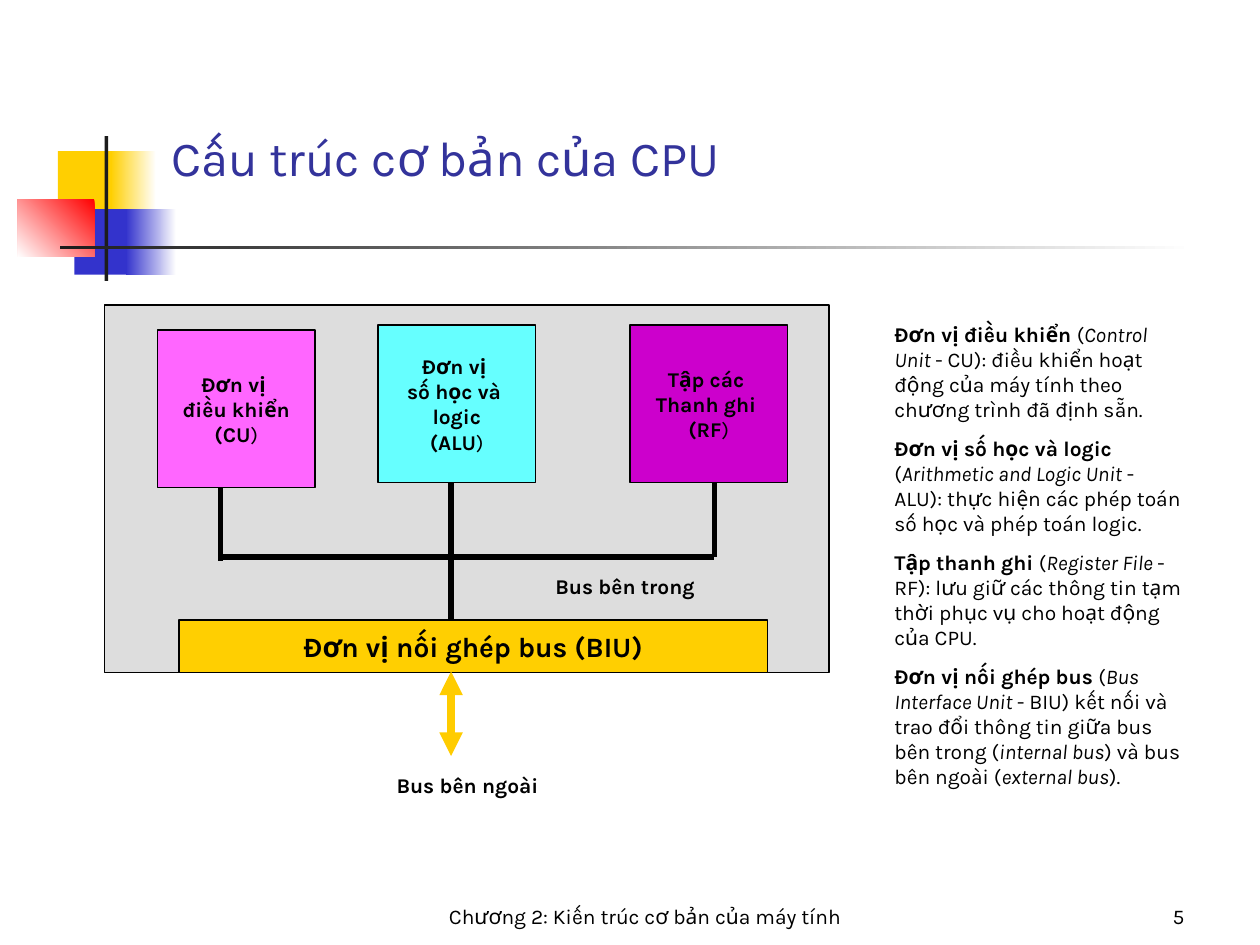
from lxml.etree import SubElement
from pptx import Presentation
from pptx.dml.color import RGBColor
from pptx.enum.shapes import MSO_CONNECTOR, MSO_SHAPE
from pptx.enum.text import MSO_ANCHOR, PP_ALIGN
from pptx.oxml.ns import qn
from pptx.util import Inches, Pt

BLACK = RGBColor(0x00, 0x00, 0x00)
WHITE = RGBColor(0xFF, 0xFF, 0xFF)
CHARCOAL = RGBColor(0x1C, 0x1C, 0x1C)
GRAY = RGBColor(0xDD, 0xDD, 0xDD)
YELLOW = RGBColor(0xFF, 0xCF, 0x01)
AMBER = RGBColor(0xFF, 0xCC, 0x00)
RED = RGBColor(0xFF, 0x00, 0x00)
BLUE = RGBColor(0x33, 0x33, 0xCC)
INDIGO = RGBColor(0x33, 0x33, 0x9B)
PINK = RGBColor(0xFF, 0x66, 0xFF)
CYAN = RGBColor(0x66, 0xFF, 0xFF)
PURPLE = RGBColor(0xCC, 0x00, 0xCC)


def set_all(target, values):
    for name, value in values.items():
        setattr(target, name, value)


class SlideBuilder:
    font_name = "Karla"

    def __init__(self, slide):
        self.slide = slide

    def add_runs(self, frame, paragraphs, size=12, color=BLACK, frame_format=None, **paragraph_format):
        """Fill a frame with paragraphs, each a list of (text, style); style holds b and/or i."""
        set_all(frame, {"word_wrap": True, **(frame_format or {})})
        for index, runs in enumerate(paragraphs):
            paragraph = frame.paragraphs[0] if index == 0 else frame.add_paragraph()
            set_all(paragraph, paragraph_format)
            for text, style in runs:
                run = paragraph.add_run()
                run.text = text
                set_all(run.font, {"name": self.font_name, "size": Pt(size),
                                   "bold": "b" in style, "italic": "i" in style})
                run.font.color.rgb = color

    def text(self, box, paragraphs, **formatting):
        area = self.slide.shapes.add_textbox(*map(Inches, box))
        self.add_runs(area.text_frame, paragraphs, **formatting)

    def rect(self, box, fill, outline=None):
        rect = self.slide.shapes.add_shape(MSO_SHAPE.RECTANGLE, *map(Inches, box))
        rect.shadow.inherit = False
        rect.fill.solid()
        rect.fill.fore_color.rgb = fill
        if outline is None:
            rect.line.fill.background()
        else:
            rect.line.color.rgb = outline
            rect.line.width = Pt(0.75)
        return rect

    def gradient(self, box, start, end, angle=180):
        """Angle runs counter-clockwise from left-to-right."""
        fill = self.rect(box, start).fill
        fill.gradient()
        fill.gradient_angle = angle
        for stop, color in zip(fill.gradient_stops, (start, end)):
            stop.color.rgb = color

    def block(self, box, fill, paragraphs, size=12):
        rect = self.rect(box, fill, BLACK)
        self.add_runs(rect.text_frame, paragraphs, size=size, alignment=PP_ALIGN.CENTER,
                      frame_format={"word_wrap": False, "vertical_anchor": MSO_ANCHOR.MIDDLE})

    def line(self, start, end, color=BLACK, width=3, arrows=False):
        line = self.slide.shapes.add_connector(MSO_CONNECTOR.STRAIGHT, *map(Inches, start + end))
        line.line.color.rgb = color
        line.line.width = Pt(width)
        properties = line._element.spPr
        if arrows:
            for tag in ("a:headEnd", "a:tailEnd"):
                SubElement(properties.get_or_add_ln(), qn(tag), type="triangle")
        SubElement(properties, qn("a:effectLst"))


def add_decoration(builder):
    builder.rect((0.46, 1.2, 0.48, 0.52), YELLOW)
    builder.gradient((0.88, 1.2, 0.36, 0.52), WHITE, YELLOW)
    builder.rect((0.59, 1.66, 0.46, 0.52), BLUE)
    builder.gradient((1, 1.66, 0.4, 0.52), WHITE, BLUE)
    builder.gradient((0.14, 1.58, 0.61, 0.46), RED, WHITE, angle=225)
    builder.rect((0.83, 1.08, 0.03, 1.15), CHARCOAL)
    builder.gradient((0.48, 1.95, 9, 0.03), WHITE, CHARCOAL)


def add_cpu_diagram(builder):
    builder.rect((0.83, 2.42, 5.75, 2.92), GRAY, BLACK)
    units = [
        (1.25, 2.62, PINK, ["Đơn vị ", "điều khiển"], "(CU"),
        (3, 2.58, CYAN, ["Đơn vị ", "số học và ", "logic"], "(ALU"),
        (5, 2.58, PURPLE, ["Tập các ", "Thanh ghi "], "(RF"),
    ]
    for left, top, fill, name_lines, abbreviation in units:
        paragraphs = [[(name, "b")] for name in name_lines]
        paragraphs.append([(abbreviation, "b"), (")", "")])
        builder.block((left, top, 1.25, 1.25), fill, paragraphs)
    builder.block((1.42, 4.92, 4.67, 0.42), YELLOW,
                  [[("Đơn vị nối ghép bus (BIU)", "b")]], size=16)

    cu_x, alu_x, rf_x, bus_y = 1.75, 3.58, 5.67, 4.42
    builder.line((cu_x, 3.87), (cu_x, 4.45))
    builder.line((rf_x, bus_y), (rf_x, 3.83))
    builder.line((alu_x, 3.83), (alu_x, 4.92))
    builder.line((cu_x, bus_y), (rf_x, bus_y))
    builder.line((alu_x, 5.33), (alu_x, 6), AMBER, 4.5, arrows=True)
    for left, top, label in [(3.75, 4.5, "Bus bên trong"), (2.5, 6.08, "Bus bên ngoài")]:
        builder.text((left, top, 2.42, 0.3), [[(label, "b")]],
                     alignment=PP_ALIGN.CENTER, space_before=Pt(7.5))


def add_definitions(builder):
    definitions = [
        [("Đơn vị điều khiển ", "b"), ("(", ""), ("Control Unit ", "i"),
         ("- CU): điều khiển hoạt động của máy tính theo chương trình đã định sẵn.", "")],
        [("Đơn vị số học và logic ", "b"), ("(", ""), ("Arithmetic and Logic Unit ", "i"),
         ("- ALU): thực hiện các phép toán số học và phép toán logic.", "")],
        [("Tập thanh ghi ", "b"), ("(", ""), ("Register File ", "i"),
         ("- RF): lưu giữ các thông tin tạm thời phục vụ cho hoạt động của CPU.", "")],
        [("Đơn vị nối ghép bus ", "b"), ("(", ""), ("Bus Interface Unit ", "i"),
         ("- BIU) kết nối và trao đổi thông tin giữa bus bên trong (", ""),
         ("internal bus", "i"), (") và bus bên ngoài (", ""),
         ("external bus", "i"), (").", "")],
    ]
    builder.text((7, 2.5, 2.5, 4.32), definitions, space_before=Pt(7.5))


def main():
    presentation = Presentation()
    set_all(presentation, {"slide_width": Inches(10), "slide_height": Inches(7.5)})
    builder = SlideBuilder(presentation.slides.add_slide(presentation.slide_layouts[6]))
    bottom = {"vertical_anchor": MSO_ANCHOR.BOTTOM}

    add_decoration(builder)
    builder.text((1.26, 1.13, 8.52, 0.4), [[("Cấu trúc cơ bản của CPU", "")]],
                 size=28, color=INDIGO, frame_format=bottom)
    add_cpu_diagram(builder)
    add_definitions(builder)
    builder.text((2.08, 6.92, 6.08, 0.5), [[("Chương 2: Kiến trúc cơ bản của máy tính", "")]],
                 frame_format=bottom, alignment=PP_ALIGN.CENTER)
    builder.text((8.33, 6.92, 1.17, 0.5), [[("5", "")]],
                 frame_format=bottom, alignment=PP_ALIGN.RIGHT)
    presentation.save("out.pptx")


if __name__ == "__main__":
    main()
